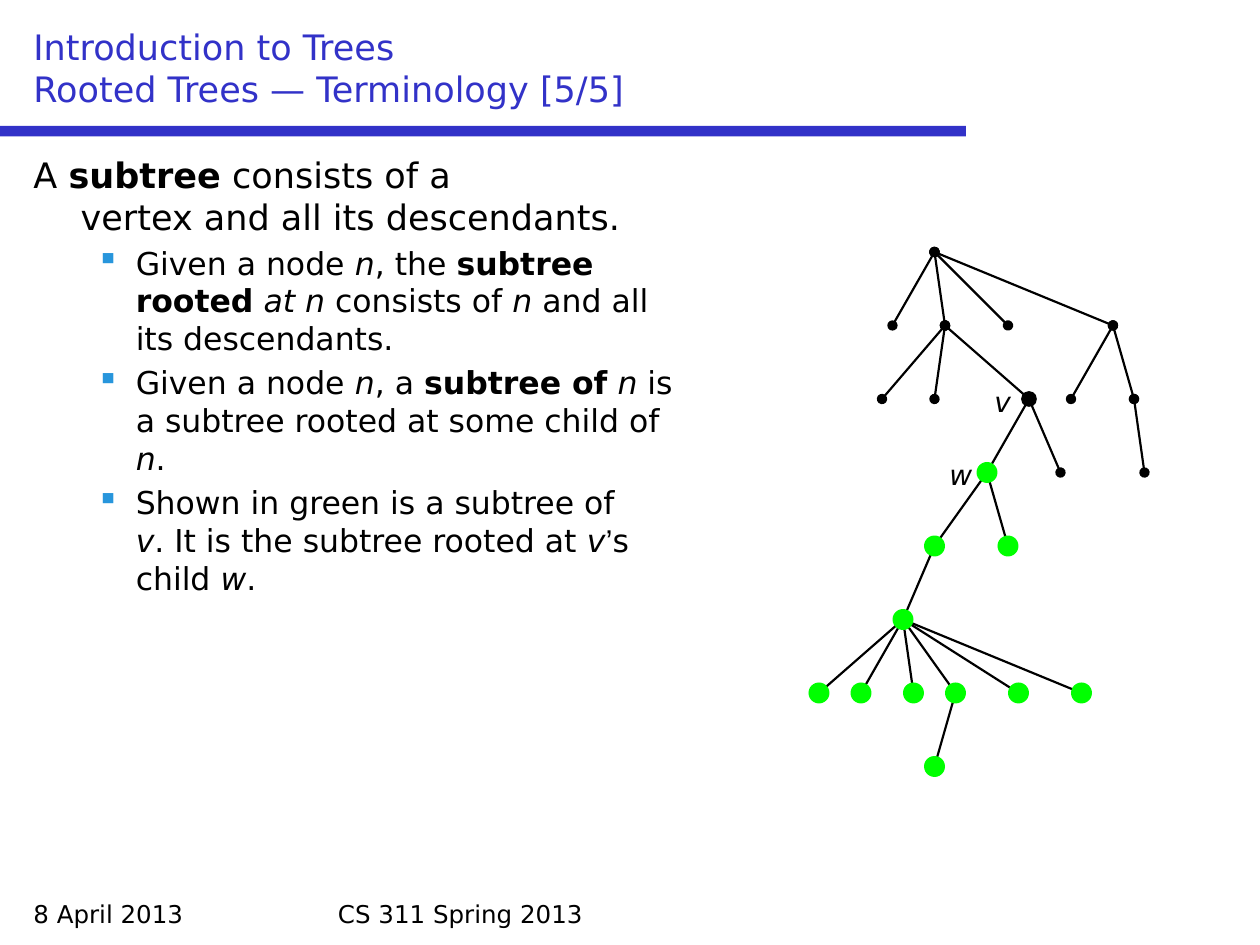
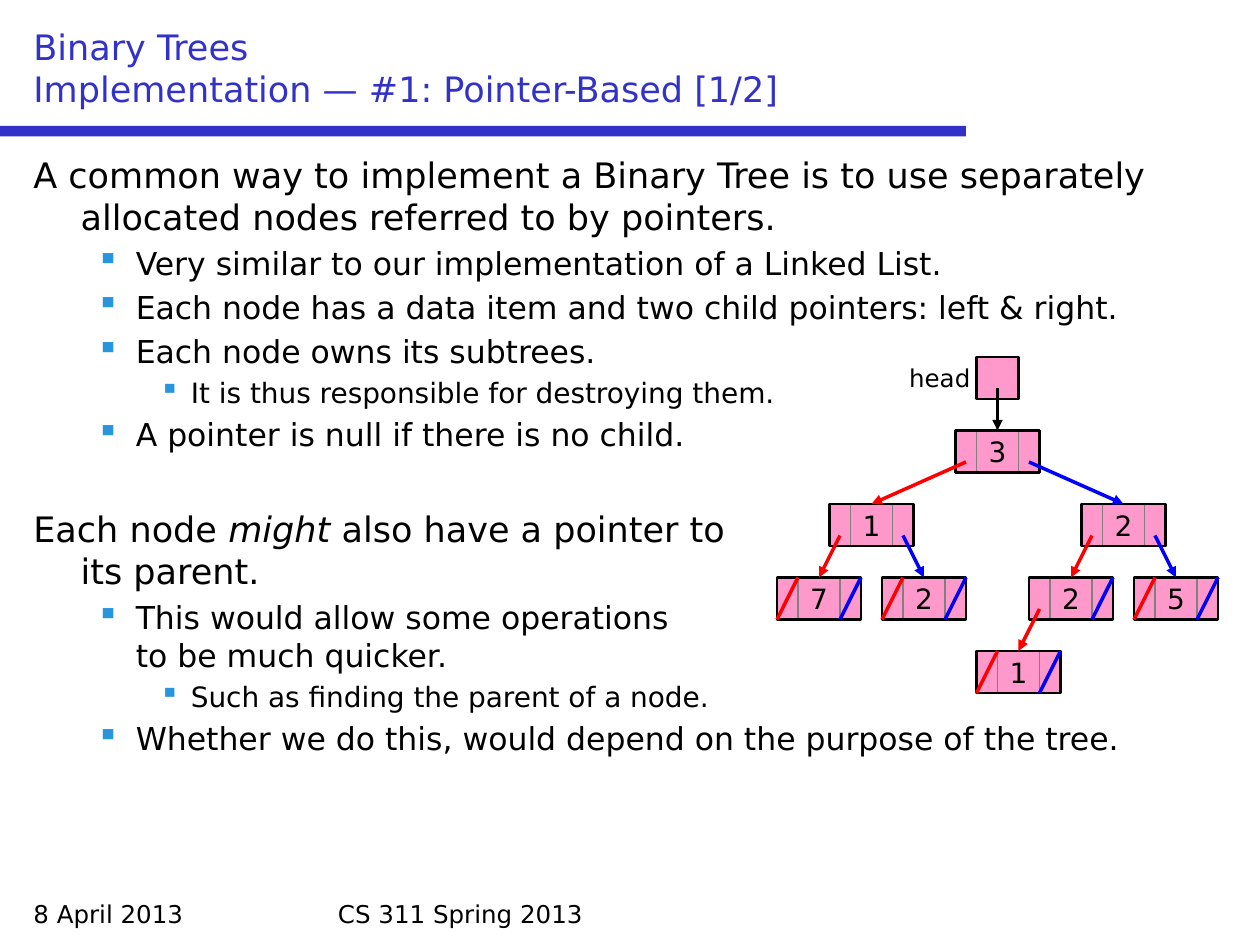
from lxml import etree
from pptx import Presentation
from pptx.dml.color import RGBColor
from pptx.enum.shapes import MSO_CONNECTOR, MSO_SHAPE
from pptx.enum.text import MSO_ANCHOR, PP_ALIGN
from pptx.oxml.ns import qn
from pptx.util import Pt

PX = 9525   # EMU in one px, 96 px to the inch
UNIT = 8    # px in one step of the diagram grids
ROW = 7     # grid steps between tree levels

FONT = "DejaVu Sans"
BLACK, INDIGO, SKY = "000000", "3232C8", "2896DC"
GREEN, PINK, GREY = "00FF00", "FF99CC", "808080"
RED, BLUE = "FF0000", "0000FF"

# Outline levels: text size, left margin, hanging indent
LEVELS = [(20, 36, -36), (18, 78, -30), (16, 120, -24)]

SUBTREE_TEXT = [
    (0, "A |*subtree| consists of a\nvertex and all its descendants."),
    (1, "Given a node |_n|, the |*subtree\nrooted|_ at n| consists of |_n| and all\n"
        "its descendants."),
    (1, "Given a node |_n|, a |*subtree of|_ n| is\na subtree rooted at some child of\n|_n|."),
    (1, "Shown in green is a subtree of\n|_v|. It is the subtree rooted at |_v|^’|s\n"
        "child |_w|."),
]
POINTER_TEXT = [
    (0, "A common way to implement a Binary Tree is to use separately "
        "allocated nodes referred to by pointers."),
    (1, "Very similar to our implementation of a Linked List."),
    (1, "Each node has a data item and two child pointers: left & right."),
    (1, "Each node owns its subtrees."),
    (2, "It is thus responsible for destroying them."),
    (1, "A pointer is null if there is no child."),
    (0, "Each node |_might| also have a pointer to\nits parent."),
    (1, "This would allow some operations\nto be much quicker."),
    (2, "Such as finding the parent of a node."),
    (1, "Whether we do this, would depend on the purpose of the tree."),
]

# Rooted tree: (column, child, child, ...)
W = (16, (11, (8, (0,), (4,), (9,), (13, (11,)), (19,), (25,))), (18,))
V = (20, W, (23,))
ROOTED_TREE = (11, (7,), (12, (6,), (11,), V), (18,), (28, (24,), (30, (31,))))

# Binary tree: (value, column, left child, right child)
BINARY_TREE = ("3", 17,
               ("1", 5, ("7", 0, None, None), ("2", 10, None, None)),
               ("2", 29, ("2", 24, ("1", 19, None, None), None), ("5", 34, None, None)))


def rgb(color):
    return RGBColor.from_string(color)


def emu(*lengths):
    return [length * PX for length in lengths]


def style_run(run, size, color=BLACK, mark=""):
    run.font.name = "Arial" if mark == "^" else FONT
    run.font.size = Pt(size)
    run.font.color.rgb = rgb(color)
    if mark == "*":
        run.font.bold = True
    if mark == "_":
        run.font.italic = True


def add_label(slide, box, text, size, color=BLACK, mark="", align=PP_ALIGN.LEFT,
              anchor=MSO_ANCHOR.TOP):
    frame = slide.shapes.add_textbox(*emu(*box)).text_frame
    frame.word_wrap = True
    frame.vertical_anchor = anchor
    frame.text = text
    frame.paragraphs[0].alignment = align
    for run in frame.paragraphs[0].runs:
        style_run(run, size, color, mark)


def add_block(slide, preset, box, fill=None, line=None, width=1.25):
    block = slide.shapes.add_shape(preset, *emu(*box))
    block.shadow.inherit = False
    if fill:
        block.fill.solid()
        block.fill.fore_color.rgb = rgb(fill)
    else:
        block.fill.background()
    if line:
        block.line.color.rgb = rgb(line)
        block.line.width = Pt(width)
    else:
        block.line.fill.background()
    return block


def add_line(slide, start, end, color, width, head=None, tail=None):
    line = slide.shapes.add_connector(MSO_CONNECTOR.STRAIGHT, *emu(*start, *end))
    line.line.color.rgb = rgb(color)
    line.line.width = Pt(width)
    outline = line.line._get_or_add_ln()
    for tag, kind in (("a:headEnd", head), ("a:tailEnd", tail)):
        if kind:
            etree.SubElement(outline, qn(tag), type=kind)
    etree.SubElement(line._element.spPr, qn("a:effectLst"))
    return line


def add_frame(prs, title):
    """Title, band and footers that every slide has."""
    slide = prs.slides.add_slide(prs.slide_layouts[6])
    add_block(slide, MSO_SHAPE.RECTANGLE, (0, 96, 736, 8), INDIGO)
    add_label(slide, (16, 680, 224, 32), "8 April 2013", 14)
    add_label(slide, (248, 680, 464, 32), "CS 311 Spring 2013", 14)
    add_label(slide, (16, 16, 928, 72), title, 20, INDIGO, anchor=MSO_ANCHOR.BOTTOM)
    return slide


def add_bullet(properties):
    color = etree.SubElement(properties, qn("a:buClr"))
    etree.SubElement(color, qn("a:srgbClr"), val=SKY)
    etree.SubElement(properties, qn("a:buChar"), char="▪")


def add_outline(slide, box, items):
    """Body text; | parts the runs, which may open with * bold, _ italic or ^ Arial."""
    frame = slide.shapes.add_textbox(*emu(*box)).text_frame
    frame.word_wrap = True
    for index, (level, text) in enumerate(items):
        paragraph = frame.add_paragraph() if index else frame.paragraphs[0]
        size, margin, indent = LEVELS[level]
        properties = paragraph._p.get_or_add_pPr()
        properties.set("marL", str(margin * PX))
        properties.set("indent", str(indent * PX))
        if level:
            add_bullet(properties)
        if index:
            # A new top-level statement stands one line further down
            paragraph.space_before = Pt(0.2 * size if level else 31.3)
        for piece in text.split("|"):
            mark = piece[0] if piece[0] in "*_^" else ""
            for number, words in enumerate(piece[len(mark):].split("\n")):
                if number:
                    paragraph.add_line_break()
                if words:
                    run = paragraph.add_run()
                    run.text = words
                    style_run(run, size, mark=mark)


def walk(node, level=0, parent=None, green=False):
    """Yield each node with its level, its parent and whether it is below w."""
    green = green or node is W
    yield node, level, parent, green
    for child in node[1:]:
        yield from walk(child, level + 1, node, green)


def add_rooted_tree(slide, left, top):
    def place(node, level):
        return left + node[0] * UNIT, top + level * ROW * UNIT

    def add_dot(center, size, color):
        x, y = center
        add_block(slide, MSO_SHAPE.OVAL, (x - size // 2, y - size // 2, size, size), color)

    nodes = list(walk(ROOTED_TREE))
    # Edges, with a small dot at both ends
    for node, level, parent, _ in nodes:
        if parent:
            add_line(slide, place(parent, level - 1), place(node, level),
                     BLACK, 1.25, "oval", "oval")
    # Larger dots and names
    for node, level, _, green in nodes:
        x, y = place(node, level)
        if green:
            add_dot((x, y), 16, GREEN)
        if node is V:
            add_dot((x, y), 12, BLACK)
        if node is V or node is W:
            add_label(slide, (x - 48, y - 16, 56, 35), "v" if node is V else "w",
                      16, mark="_", align=PP_ALIGN.CENTER)


def add_binary_node(slide, left, top, node, level):
    """Draw a node and all below it; return its outer frame."""
    value, column, *children = node
    x, y = left + column * UNIT, top + level * ROW * UNIT
    width, height, pointer = 8 * UNIT, 4 * UNIT, 2 * UNIT

    # Body, value cell and outer frame
    add_block(slide, MSO_SHAPE.RECTANGLE, (x, y, width, height), PINK)
    cell = add_block(slide, MSO_SHAPE.RECTANGLE,
                     (x + pointer, y, width - 2 * pointer, height), line=GREY, width=0.75)
    cell.text_frame.word_wrap = False
    cell.text_frame.vertical_anchor = MSO_ANCHOR.MIDDLE
    cell.text_frame.text = value
    cell.text_frame.paragraphs[0].alignment = PP_ALIGN.CENTER
    style_run(cell.text_frame.paragraphs[0].runs[0], 16)
    outer = add_block(slide, MSO_SHAPE.RECTANGLE, (x, y, width, height), line=BLACK)

    # Pointers: an arrow to a child, a slash for null
    for child, color, start in zip(children, (RED, BLUE), (x, x + width - pointer)):
        if child:
            target = add_binary_node(slide, left, top, child, level + 1)
            add_pointer(slide, (start + pointer // 2, y + 3 * UNIT), target, color)
        else:
            add_line(slide, (start, y + height), (start + pointer, y), color, 2)
    return outer


def add_pointer(slide, start, target, color):
    arrow = add_line(slide, start, start, color, 2, tail="triangle")
    arrow.end_connect(target, 0)


def add_binary_tree(slide, left, top):
    root = add_binary_node(slide, left, top, BINARY_TREE, 1)
    # Head pointer above the root
    head_left, side = left + 19 * UNIT, 4 * UNIT
    add_block(slide, MSO_SHAPE.RECTANGLE, (head_left, top, side, side), PINK, BLACK)
    add_pointer(slide, (head_left + side // 2, top + 3 * UNIT), root, BLACK)
    add_label(slide, (head_left - 64, top, 72, 32), "head", 14, align=PP_ALIGN.CENTER)


def main():
    prs = Presentation()
    prs.slide_width, prs.slide_height = emu(960, 720)
    body = (16, 112, 928, 560)

    terminology = add_frame(prs, "Introduction to Trees\vRooted Trees — Terminology [5/5]")
    add_outline(terminology, body, SUBTREE_TEXT)
    add_rooted_tree(terminology, 624, 192)

    pointers = add_frame(prs, "Binary Trees\vImplementation — #1: Pointer-Based [1/2]")
    add_outline(pointers, body, POINTER_TEXT)
    add_binary_tree(pointers, 592, 272)

    prs.save("out.pptx")


if __name__ == "__main__":
    main()
